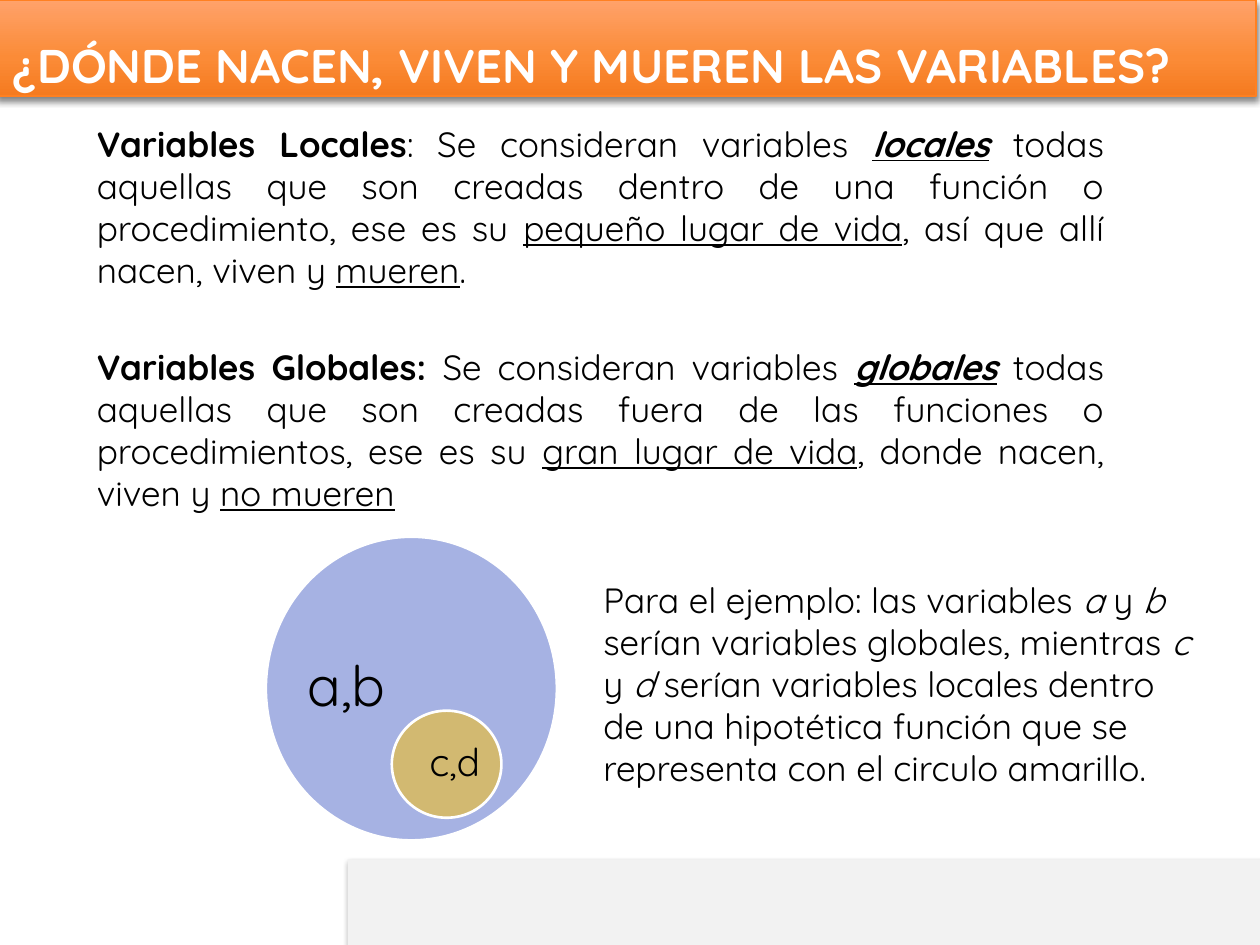
"""Build a slide on the scope of local and global variables."""
from lxml import etree
from pptx import Presentation
from pptx.dml.color import RGBColor
from pptx.enum import shapes, text
from pptx.oxml import ns
from pptx.util import Inches, Pt

WHITE = RGBColor(0xFF, 0xFF, 0xFF)
BLACK = RGBColor(0, 0, 0)
GRAY = RGBColor(0xF2, 0xF2, 0xF2)
ORANGE = RGBColor(0xFF, 0x80, 0x21)
BLUE = RGBColor(0x4E, 0x67, 0xC8)
YELLOW = RGBColor(0xFF, 0xC0, 0x00)
BANNER_STOPS = [
    (0, RGBColor(0xFF, 0xA2, 0x6A)),
    (60, RGBColor(0xFB, 0x8B, 0x37)),
    (100, RGBColor(0xF5, 0x7B, 0x20)),
]
FONT = "Quicksand"


def add_element(parent, tag, **attributes):
    element = etree.SubElement(parent, ns.qn(tag))
    for name, value in attributes.items():
        element.set(name, str(value))
    return element


def add_text(slide, box, paragraphs, size, color=BLACK, align=None,
             anchor=text.MSO_ANCHOR.TOP, inset=None):
    frame = slide.shapes.add_textbox(*map(Inches, box)).text_frame
    frame.word_wrap = True
    frame.vertical_anchor = anchor
    if inset is not None:
        frame.margin_left = frame.margin_right = Inches(inset)
        frame.margin_top = frame.margin_bottom = Inches(inset)
    for index, runs in enumerate(paragraphs):
        paragraph = frame.add_paragraph() if index else frame.paragraphs[0]
        paragraph.alignment = align
        if index:
            paragraph.space_before = Pt(31.5)
        for words, style in runs:
            run = paragraph.add_run()
            run.text = words
            run.font.name = FONT
            run.font.size = Pt(size)
            run.font.color.rgb = color
            run.font.bold = "b" in style
            run.font.italic = "i" in style
            run.font.underline = "u" in style
    return frame


presentation = Presentation()
presentation.slide_width = Inches(10)
presentation.slide_height = Inches(7.5)
slide = presentation.slides.add_slide(presentation.slide_layouts[6])

bars = []
for box, alpha, blur, distance in [
    ((2.76, 6.82, 7.28, 0.76), 38, 3.1, 1.6),
    ((-0.03, 0, 10, 0.76), 47, 4, 2.5),
]:
    bar = slide.shapes.add_shape(shapes.MSO_SHAPE.RECTANGLE, *map(Inches, box))
    bar.shadow.inherit = False
    effects = bar._element.spPr.find(ns.qn("a:effectLst"))
    shadow = add_element(effects, "a:outerShdw", blurRad=Pt(blur), dist=Pt(distance),
                         dir=5400000, rotWithShape=0)
    shadow_color = add_element(shadow, "a:srgbClr", val=BLACK)
    add_element(shadow_color, "a:alpha", val=alpha * 1000)
    bars.append(bar)

footer, banner = bars
footer.fill.solid()
footer.fill.fore_color.rgb = GRAY
footer.line.fill.background()

banner.fill.gradient()
banner.fill.gradient_angle = 270
stop_list = banner._element.spPr.find(".//" + ns.qn("a:gsLst"))
for stop in list(stop_list):
    stop_list.remove(stop)
for position, color in BANNER_STOPS:
    stop = add_element(stop_list, "a:gs", pos=position * 1000)
    add_element(stop, "a:srgbClr", val=color)
banner.line.color.rgb = ORANGE
banner.line.width = Pt(1)

add_text(slide, (0, 0.12, 9.95, 0.79),
         [[("¿DÓNDE NACEN, VIVEN Y MUEREN LAS VARIABLES?", "b")]],
         27, WHITE, anchor=text.MSO_ANCHOR.MIDDLE)

definitions = [
    [
        ("Variables Locales", "b"),
        (": Se consideran variables ", ""),
        ("locales", "biu"),
        (" todas aquellas que son creadas dentro de una función o "
         "procedimiento, ese es su ", ""),
        ("pequeño lugar de vida", "u"),
        (", así que allí nacen, viven y ", ""),
        ("mueren", "u"),
        (".", ""),
    ],
    [
        ("Variables Globales: ", "b"),
        ("Se consideran variables ", ""),
        ("globales", "biu"),
        (" todas aquellas que son creadas fuera de las funciones o "
         "procedimientos, ese es su ", ""),
        ("gran lugar de vida", "u"),
        (", donde nacen, viven y ", ""),
        ("no mueren", "u"),
    ],
]
add_text(slide, (0.67, 0.92, 8.19, 5.76), definitions, 20,
         align=text.PP_ALIGN.JUSTIFY)

for circle_box, color, label_box, label, size, align in [
    ((2.11, 4.26, 2.31, 2.41), BLUE, (2.44, 4.54, 1.33, 1.84), "a,b", 32,
     text.PP_ALIGN.LEFT),
    ((3.11, 5.64, 0.87, 0.85), YELLOW, (3.36, 5.74, 0.5, 0.65), "c,d", 22,
     text.PP_ALIGN.CENTER),
]:
    circle = slide.shapes.add_shape(shapes.MSO_SHAPE.OVAL, *map(Inches, circle_box))
    circle.shadow.inherit = False
    circle.fill.solid()
    circle.fill.fore_color.rgb = color
    fill_color = circle._element.spPr.find(ns.qn("a:solidFill"))[0]
    add_element(fill_color, "a:alpha", val=50000)
    circle.line.color.rgb = WHITE
    circle.line.width = Pt(1.5)
    frame = add_text(slide, label_box, [[(label, "")]], size, align=align,
                     anchor=text.MSO_ANCHOR.MIDDLE, inset=0)
    frame.paragraphs[0].line_spacing = 0.9

example = [
    ("Para el ejemplo: las variables ", ""),
    ("a", "i"),
    (" y ", ""),
    ("b", "i"),
    (" serían variables globales, mientras ", ""),
    ("c", "i"),
    (" y ", ""),
    ("d ", "i"),
    ("serían variables locales dentro de una hipotética función que se "
     "representa con el circulo amarillo.", ""),
]
example_frame = add_text(slide, (4.69, 4.54, 4.96, 1.78), [example], 20)
example_frame.auto_size = text.MSO_AUTO_SIZE.SHAPE_TO_FIT_TEXT

presentation.save("out.pptx")
